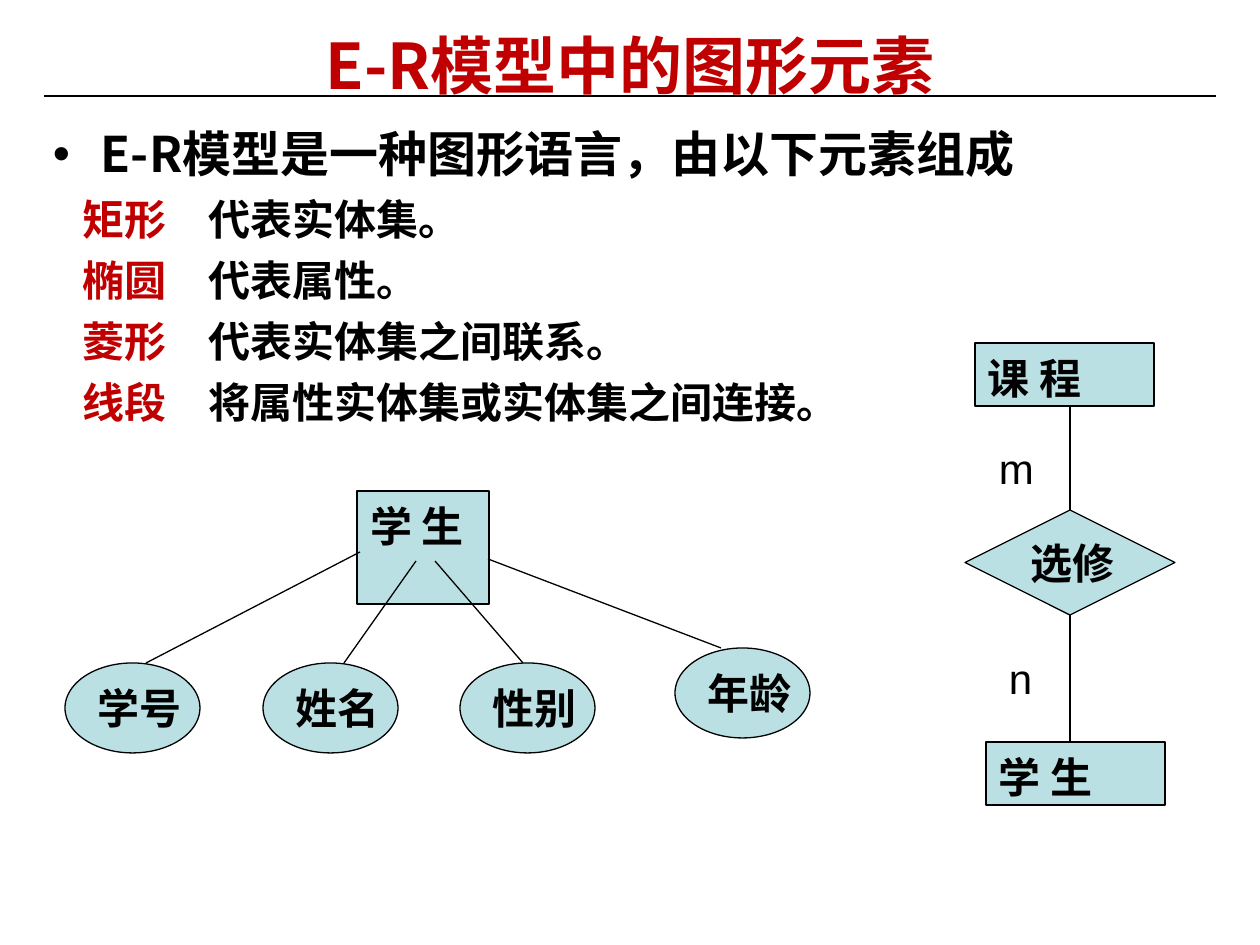
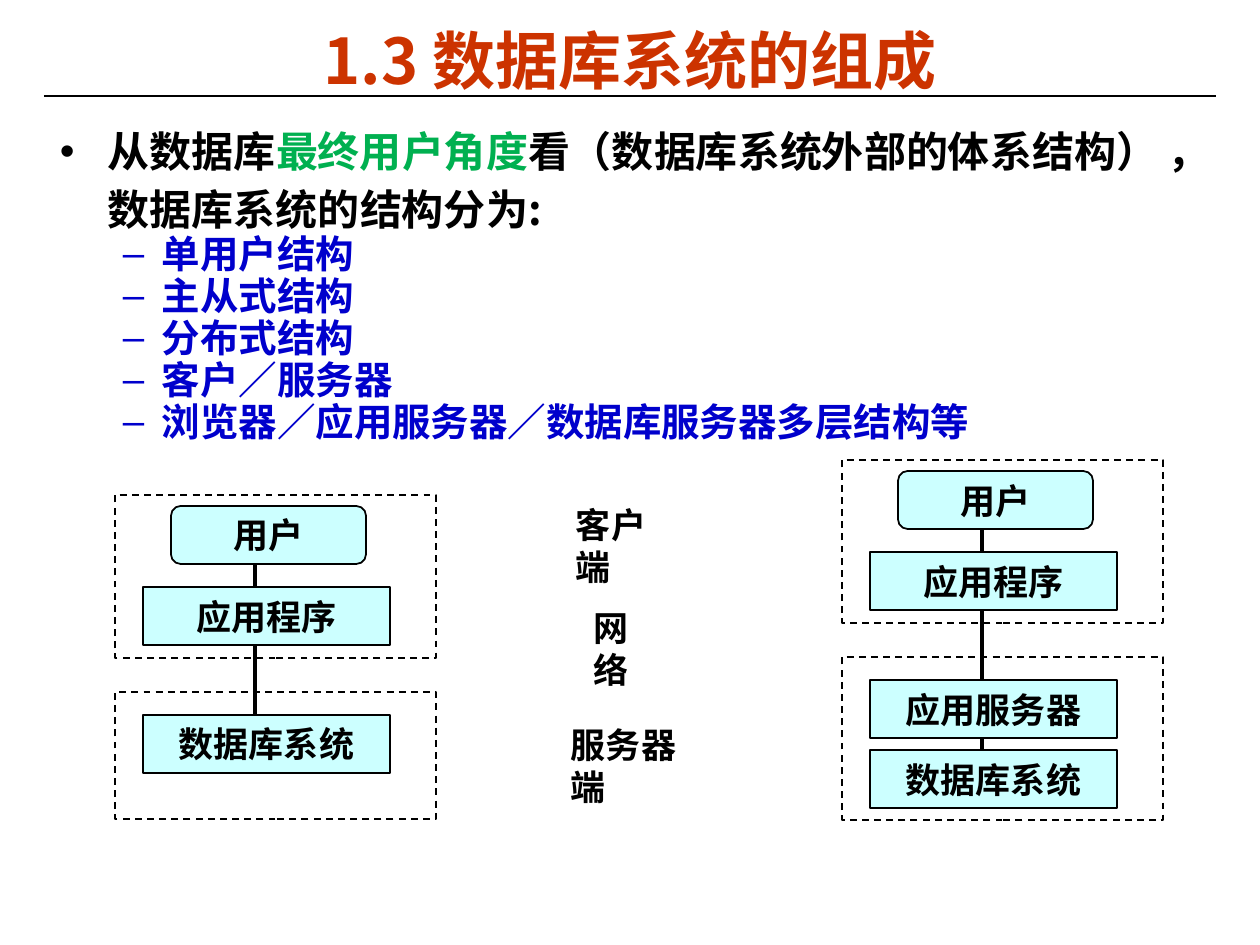
from lxml.etree import SubElement
from pptx import Presentation
from pptx.dml.color import RGBColor
from pptx.enum.dml import MSO_LINE
from pptx.enum.shapes import MSO_CONNECTOR, MSO_SHAPE
from pptx.enum.text import MSO_ANCHOR, PP_ALIGN
from pptx.oxml.ns import qn
from pptx.util import Emu, Pt

PX = 914400 / 126
CJK_FONT = "Noto Sans CJK SC"
COLORS = {
    "black": "000000", "white": "FFFFFF", "red": "C00000", "orange": "CC3300",
    "green": "00B050", "blue": "0000CC", "er": "BBE0E3", "tier": "CCFFFF",
}


def px(length):
    return Emu(round(length * PX))


def color(name):
    return RGBColor.from_string(COLORS[name])


def add_span(para, text, size, ink="black", font=CJK_FONT, bold=True):
    span = para.add_run()
    span.text = text
    span.font.size = Pt(size)
    span.font.bold = bold
    span.font.color.rgb = color(ink)
    span.font.name = font
    SubElement(span.font._element, qn("a:ea"), typeface=font)


def set_indent(para, left, first, bullet=None, ink="black"):
    props = para._p.get_or_add_pPr()
    props.set("marL", str(px(left)))
    props.set("indent", str(px(first)))
    if bullet:
        tint = SubElement(props, qn("a:buClr"))
        SubElement(tint, qn("a:srgbClr"), val=COLORS[ink])
        SubElement(props, qn("a:buFont"), typeface="Arial")
        SubElement(props, qn("a:buChar"), char=bullet)


def set_frame(shape, anchor, wrap=True, top=6):
    frame = shape.text_frame
    frame.word_wrap = wrap
    frame.vertical_anchor = anchor
    frame.margin_left = frame.margin_right = px(13)
    frame.margin_top, frame.margin_bottom = px(top), px(6)
    return frame


def add_box(page, box, anchor=MSO_ANCHOR.TOP, wrap=True):
    return set_frame(page.shapes.add_textbox(*map(px, box)), anchor, wrap)


def add_block(page, kind, box, fill, weight=0.75):
    shape = page.shapes.add_shape(kind, *map(px, box))
    shape.shadow.inherit = False
    shape.fill.solid()
    shape.fill.fore_color.rgb = color(fill)
    shape.line.color.rgb = color("black")
    shape.line.width = Pt(weight)
    return shape


def add_line(page, start, end, weight=0.75):
    line = page.shapes.add_connector(MSO_CONNECTOR.STRAIGHT, *map(px, (*start, *end)))
    line.line.color.rgb = color("black")
    line.line.width = Pt(weight)
    SubElement(line._element.spPr, qn("a:effectLst"))


def add_page(deck, title, box, ink):
    """Blank page with the shared rule and title."""
    page = deck.slides.add_slide(deck.slide_layouts[6])
    add_line(page, (44, 96), (1216, 96))
    para = add_box(page, box, MSO_ANCHOR.MIDDLE).paragraphs[0]
    para.alignment = PP_ALIGN.CENTER
    add_span(para, title, 36, ink)
    return page


def add_er_text(page, box):
    frame = add_box(page, box)
    para = frame.paragraphs[0]
    set_indent(para, 48, -48, "•")
    para.line_spacing = Pt(33.6)
    add_span(para, "E-R模型是一种图形语言，由以下元素组成", 28)
    for term, meaning in (
        ("矩形", "代表实体集。"),
        ("椭圆", "代表属性。"),
        ("菱形", "代表实体集之间联系。"),
        ("线段", "将属性实体集或实体集之间连接。"),
    ):
        para = frame.add_paragraph()
        set_indent(para, 30, 0)
        para.space_before = Pt(6)
        para.line_spacing = Pt(28.8)
        add_span(para, term + "　", 24, "red")
        add_span(para, meaning, 24)


def add_entity(page, box, name):
    shape = add_block(page, MSO_SHAPE.RECTANGLE, box, "er")
    para = set_frame(shape, MSO_ANCHOR.TOP, top=10).paragraphs[0]
    para.alignment = PP_ALIGN.LEFT
    para.line_spacing = Pt(28.8)
    add_span(para, name, 24)


def add_er_node(page, kind, box, name):
    shape = add_block(page, kind, box, "er")
    para = set_frame(shape, MSO_ANCHOR.MIDDLE, wrap=False).paragraphs[0]
    para.alignment = PP_ALIGN.LEFT
    add_span(para, name, 24)


def add_attribute_diagram(page, box):
    """Student entity with its four attributes."""
    left, top, width, height = box
    add_entity(page, (left + 292, top, 132, 113), "学 生")
    for name, x, y, start, end in (
        ("学号", 0, 172, (295, 61), (81, 172)),
        ("姓名", 198, 172, (351, 70), (279, 172)),
        ("性别", 395, 172, (370, 70), (458, 172)),
        ("年龄", width - 135, 157, (423, 68), (656, 157)),
    ):
        add_er_node(page, MSO_SHAPE.OVAL, (left + x, top + y, 135, 90), name)
        add_line(page, *((left + dx, top + dy) for dx, dy in (start, end)))


def add_relation_diagram(page, box):
    """Course and student joined by an m:n relation."""
    left, top, width, height = box
    middle = left + width // 2
    add_entity(page, (left + 10, top, 179, 63), "课\u2002程".replace("\u2002", " "))
    add_er_node(page, MSO_SHAPE.DIAMOND, (left, top + 167, width, 105), "选修")
    add_entity(page, (left + 21, top + height - 63, 179, 63), "学 生")
    add_line(page, (middle, top + 63), (middle, top + 167))
    add_line(page, (middle, top + 272), (middle, top + height - 63))
    for mark, x, y in (("m", 21, 94), ("n", 31, 304)):
        frame = add_box(page, (left + x, top + y, 53, 63))
        add_span(frame.paragraphs[0], mark, 24, font="Arial", bold=False)


def add_structure_text(page, box):
    frame = add_box(page, box)
    para = frame.paragraphs[0]
    set_indent(para, 48, -48, "•")
    para.line_spacing = Pt(33.12)
    add_span(para, "从数据库", 24)
    add_span(para, "最终用户角度", 24, "green")
    add_span(para, "看（数据库系统外部的体系结构） ，数据库系统的结构分为:", 24)
    for structure in ("单用户结构", "主从式结构", "分布式结构", "客户／服务器",
                      "浏览器／应用服务器／数据库服务器多层结构等"):
        para = frame.add_paragraph()
        para.level = 1
        set_indent(para, 102, -39, "–", "blue")
        para.space_before = Pt(5.5)
        para.line_spacing = Pt(18.5)
        add_span(para, structure, 22, "blue")


def add_tier_stack(page, box, lower_height, servers):
    """Dashed client and server frames with their linked tiers."""
    left, top, width, height = box
    for y, frame_height in ((197, lower_height), (0, 163)):
        frame = add_block(page, MSO_SHAPE.RECTANGLE,
                          (left, top + y, width, frame_height), "white", 1)
        frame.line.dash_style = MSO_LINE.DASH
    tiers = [("用户", 11), ("应用程序", 92)]
    tiers += [(name, 220 + 70 * index) for index, name in enumerate(servers)]
    for name, y in tiers:
        is_user = name == "用户"
        kind = MSO_SHAPE.ROUNDED_RECTANGLE if is_user else MSO_SHAPE.RECTANGLE
        x, tier_width = (56, 195) if is_user else (28, 247)
        shape = add_block(page, kind, (left + x, top + y, tier_width, 58), "tier", 1)
        para = set_frame(shape, MSO_ANCHOR.MIDDLE, wrap=False).paragraphs[0]
        para.alignment = PP_ALIGN.CENTER
        add_span(para, name, 20)
    for (_, upper), (_, lower) in zip(tiers, tiers[1:]):
        add_line(page, (left + 140, top + upper + 58), (left + 140, top + lower), 2)


def add_side_labels(page, box):
    left, top, width, height = box
    for name, x, y, label_width in (
        ("客户端", 5, 0, 130), ("网络", 23, 103, 94), ("服务器端", 0, 220, width),
    ):
        label = add_box(page, (left + x, top + y, label_width, 55),
                        MSO_ANCHOR.MIDDLE, wrap=False)
        add_span(label.paragraphs[0], name, 20)


def main():
    deck = Presentation()
    deck.slide_width, deck.slide_height = px(1260), px(945)

    # E-R model elements
    page = add_page(deck, "E-R模型中的图形元素", (63, 26, 1134, 77), "red")
    add_er_text(page, (40, 118, 1184, 764))
    add_attribute_diagram(page, (65, 491, 745, 262))
    add_relation_diagram(page, (965, 343, 210, 462))

    # Database system structure
    page = add_page(deck, "1.3 数据库系统的组成", (47, 20, 1166, 78), "orange")
    add_structure_text(page, (47, 112, 1166, 750))
    add_tier_stack(page, (115, 495, 321, 324), 127, ["数据库系统"])
    add_tier_stack(page, (842, 460, 321, 360), 163, ["应用服务器", "数据库系统"])
    add_side_labels(page, (558, 518, 165, 275))

    deck.save("out.pptx")


if __name__ == "__main__":
    main()
